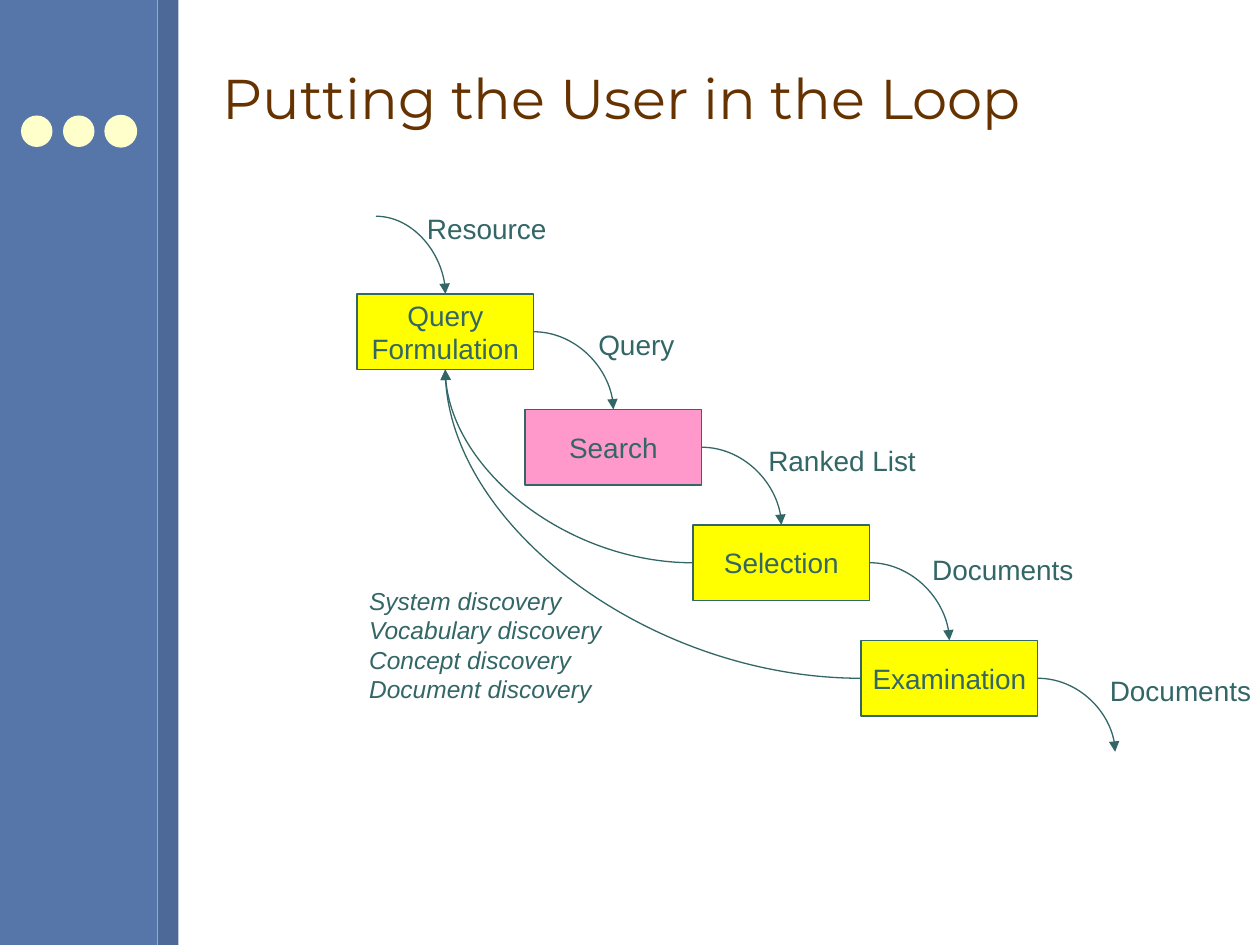
from lxml.etree import SubElement
from pptx import Presentation
from pptx.dml.color import RGBColor
from pptx.enum.shapes import MSO_CONNECTOR, MSO_SHAPE
from pptx.enum.text import MSO_ANCHOR, PP_ALIGN
from pptx.oxml.ns import qn
from pptx.util import Pt

BLUE = RGBColor(0x56, 0x75, 0xA9)
DARK_BLUE = RGBColor(0x4D, 0x69, 0x97)
CREAM = RGBColor(0xFF, 0xFF, 0xCC)
BROWN = RGBColor(0x66, 0x33, 0x00)
TEAL = RGBColor(0x33, 0x66, 0x66)
YELLOW = RGBColor(0xFF, 0xFF, 0x00)
PINK = RGBColor(0xFF, 0x99, 0xCC)
LINE_WIDTH = Pt(0.75)
TOP, LEFT, BOTTOM, RIGHT = range(4)


def write(shape, text, size=16, font="Arial", color=TEAL, italic=False,
          align=PP_ALIGN.LEFT, anchor=MSO_ANCHOR.TOP, wrap=False):
    frame = shape.text_frame
    frame.text = text
    frame.word_wrap = wrap
    frame.vertical_anchor = anchor
    for paragraph in frame.paragraphs:
        paragraph.alignment = align
        paragraph.font.size = Pt(size)
        paragraph.font.name = font
        paragraph.font.color.rgb = color
        paragraph.font.italic = italic


def add_filled(kind, x, y, width, height, fill):
    shape = slide.shapes.add_shape(kind, Pt(x), Pt(y), Pt(width), Pt(height))
    shape.shadow.inherit = False
    shape.fill.solid()
    shape.fill.fore_color.rgb = fill
    shape.line.fill.background()
    return shape


deck = Presentation()
deck.slide_width, deck.slide_height = Pt(720), Pt(540)
slide = deck.slides.add_slide(deck.slide_layouts[5])

add_filled(MSO_SHAPE.RECTANGLE, 0, 0, 90, 540, BLUE)
add_filled(MSO_SHAPE.RECTANGLE, 90, 0, 12, 540, DARK_BLUE)
for i in range(3):
    dot = add_filled(MSO_SHAPE.OVAL, 12 + 24 * i, 66, 18, 18, CREAM)
dot.line.color.rgb = CREAM
dot.line.width = LINE_WIDTH

title = slide.shapes.title
title.left, title.top, title.width, title.height = Pt(120), Pt(15), Pt(576), Pt(81.5)
write(title, "Putting the User in the Loop", size=32, font="Montserrat",
      color=BROWN, anchor=MSO_ANCHOR.MIDDLE, wrap=True)

stages = []
for i, (name, fill) in enumerate([("Query\nFormulation", YELLOW), ("Search", PINK),
                                  ("Selection", YELLOW), ("Examination", YELLOW)]):
    stage = add_filled(MSO_SHAPE.RECTANGLE, 204 + 96 * i, 168 + 66 * i, 101, 43.2, fill)
    stage.line.color.rgb = TEAL
    stage.line.width = LINE_WIDTH
    write(stage, name, align=PP_ALIGN.CENTER, anchor=MSO_ANCHOR.MIDDLE)
    stages.append(stage)

formulation, search, selection, examination = stages
flows = [
    (None, None, formulation, TOP),
    (formulation, RIGHT, search, TOP),
    (search, RIGHT, selection, TOP),
    (selection, RIGHT, examination, TOP),
    (examination, RIGHT, None, None),
    (selection, LEFT, formulation, BOTTOM),
    (examination, LEFT, formulation, BOTTOM),
]
for source, source_side, target, target_side in flows:
    arrow = slide.shapes.add_connector(MSO_CONNECTOR.CURVE, Pt(214.8), Pt(123.6),
                                       Pt(637.2), Pt(429.6))
    if source:
        arrow.begin_connect(source, source_side)
    if target:
        arrow.end_connect(target, target_side)
    arrow.line.color.rgb = TEAL
    arrow.line.width = LINE_WIDTH
    properties = arrow._element.spPr
    properties.find(qn("a:prstGeom")).set("prst", "curvedConnector2")
    SubElement(properties.find(qn("a:ln")), qn("a:tailEnd"), type="triangle")
    SubElement(properties, qn("a:effectLst"))

labels = [
    ("Resource", 236.9, 117.4, 83, 26.6),
    ("Query", 334.8, 183.6, 58.3, 26.6),
    ("Ranked List", 432, 249.8, 98.6, 26.6),
    ("Documents", 525.6, 312, 95, 26.6),
    ("Documents", 627.1, 381.6, 95, 26.6),
]
for text, x, y, width, height in labels:
    label = slide.shapes.add_textbox(Pt(x), Pt(y), Pt(width), Pt(height))
    write(label, text)

discoveries = slide.shapes.add_textbox(Pt(203.8), Pt(331.2), Pt(147.6), Pt(74.9))
write(discoveries, "\n".join(f"{subject} discovery" for subject in
                             ["System", "Vocabulary", "Concept", "Document"]),
      size=14, italic=True)

deck.save("out.pptx")
